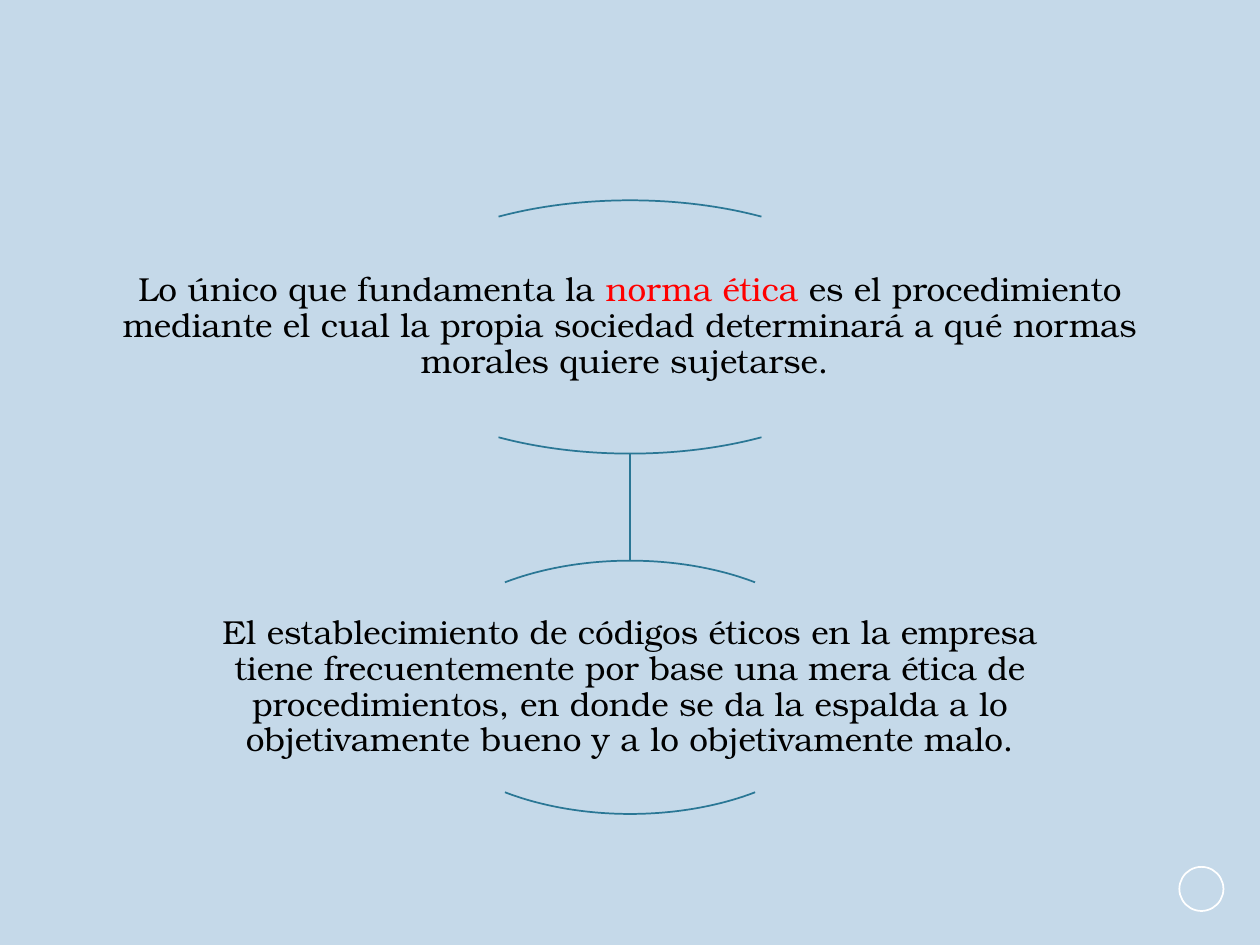
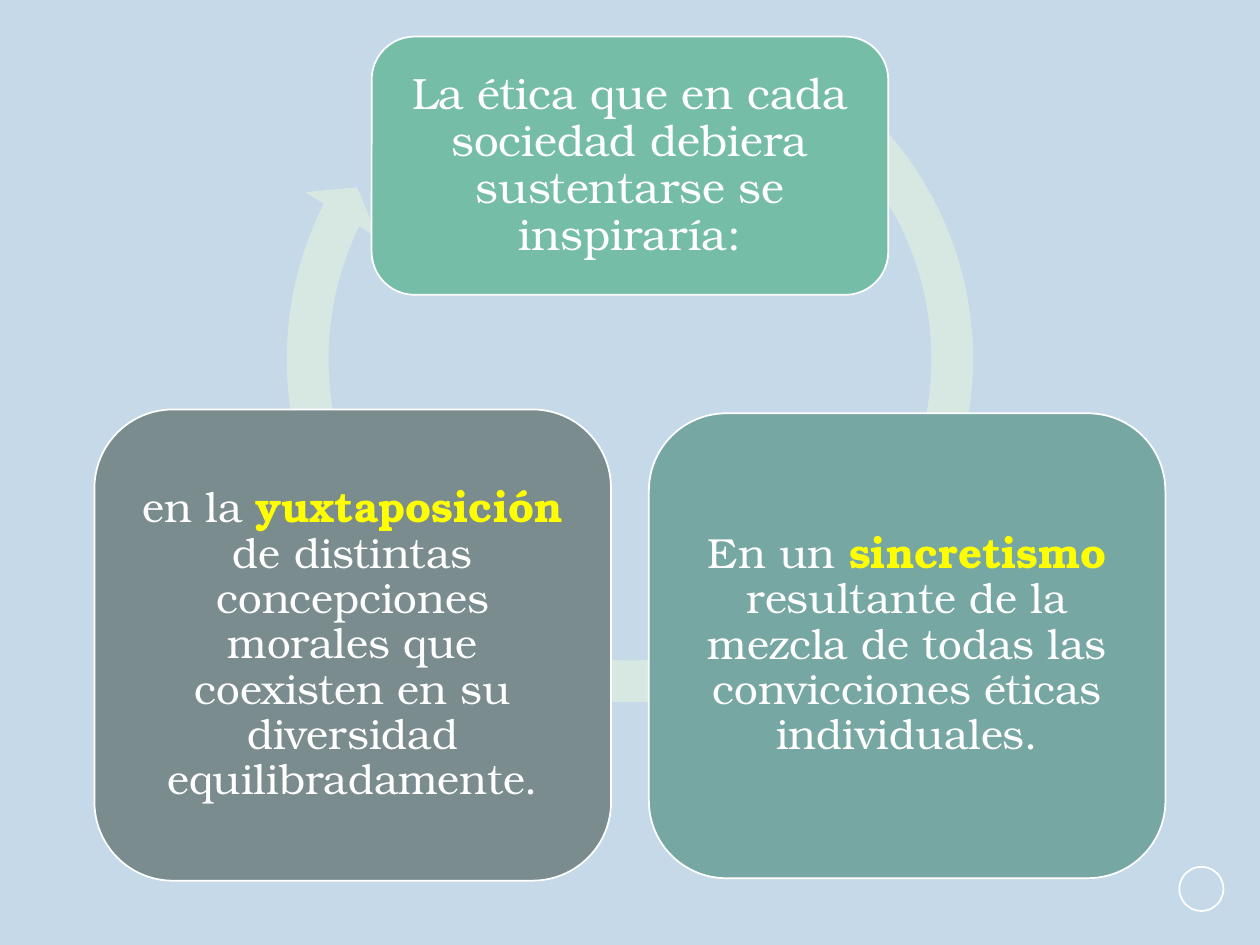
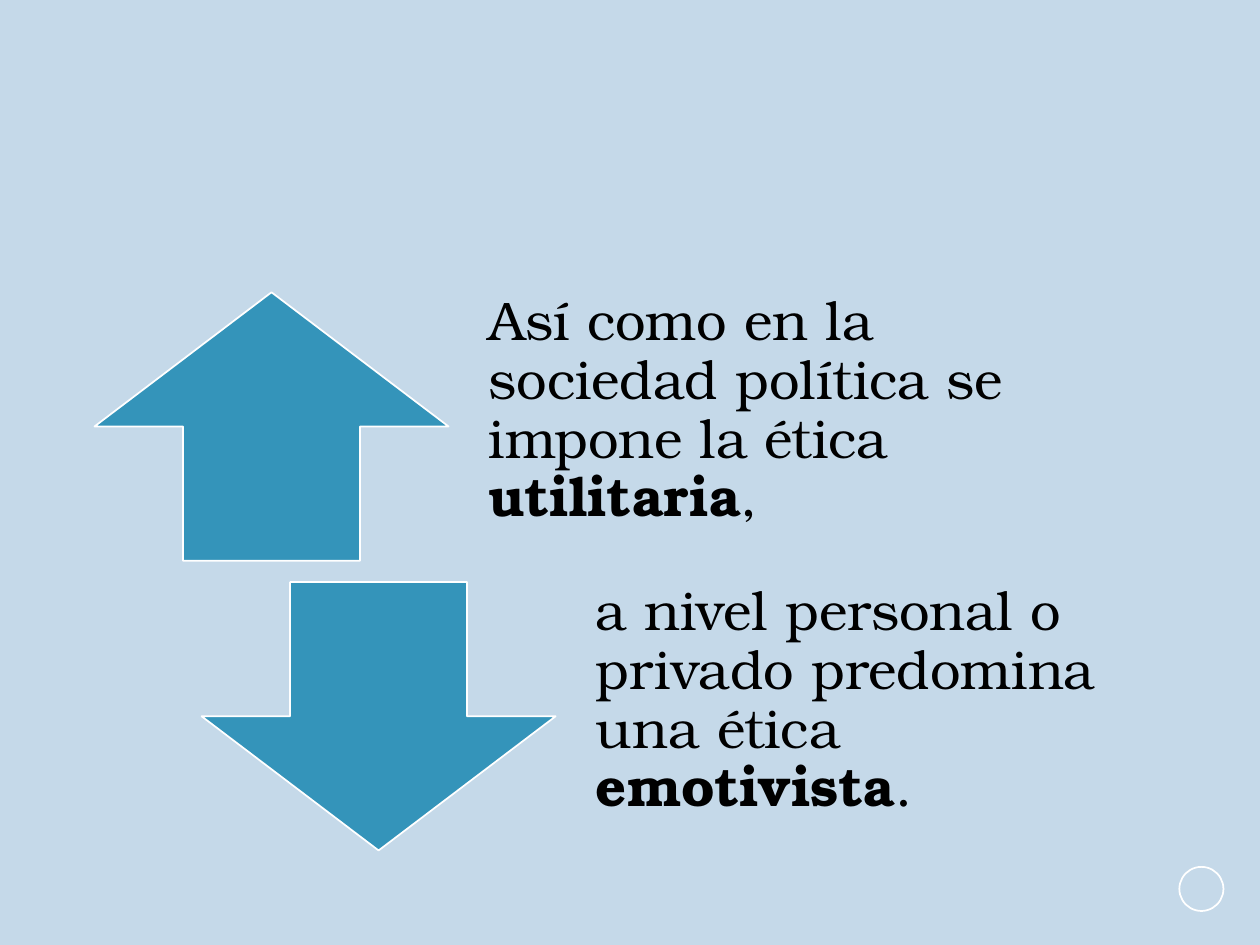
from dataclasses import dataclass

from pptx import Presentation
from pptx import util as u
from pptx.dml import color
from pptx.enum import shapes, text


@dataclass(frozen=True)
class Theme:
    font: str = "TeX Gyre Bonum"
    backdrop: str = "C5D9E9"
    white: str = "FFFFFF"
    ink: str = "000000"
    red: str = "FF0000"
    yellow: str = "FFFF00"
    bracket: str = "2A7795"
    cycle: str = "D6E8E1"
    green: str = "75BDA7"
    teal: str = "76A7A2"
    slate: str = "7A8C8E"
    blue: str = "3494BA"
    statement_size: int = 19
    premise_size: int = 25
    source_size: int = 24
    contrast_size: int = 31
    line_spacing: float = 0.9
    stroke: int = 1


theme = Theme()
preset = shapes.MSO_SHAPE
WIDTH, HEIGHT = 10, 7.5
SIDE = 0.075 * WIDTH
BODY = WIDTH - 2 * SIDE


def draw(slide, kind, box, fill=None, line=None, adjust=()):
    figure = slide.shapes.add_shape(kind, *map(u.Inches, box))
    figure.shadow.inherit = False
    for index, value in enumerate(adjust):
        figure.adjustments[index] = value
    if fill:
        figure.fill.solid()
        figure.fill.fore_color.rgb = color.RGBColor.from_string(fill)
    else:
        figure.fill.background()
    if line:
        figure.line.color.rgb = color.RGBColor.from_string(line)
        figure.line.width = u.Pt(theme.stroke)
    else:
        figure.line.fill.background()


def write(slide, box, runs, size, insets, align=text.PP_ALIGN.CENTER):
    frame = slide.shapes.add_textbox(*map(u.Inches, box)).text_frame
    frame.word_wrap = True
    frame.vertical_anchor = text.MSO_ANCHOR.MIDDLE
    frame.margin_left, frame.margin_top, frame.margin_right, frame.margin_bottom = map(u.Inches, insets)
    paragraph = frame.paragraphs[0]
    paragraph.alignment = align
    paragraph.line_spacing = theme.line_spacing
    for words, ink, bold in runs:
        run = paragraph.add_run()
        run.text = words
        run.font.name = theme.font
        run.font.size = u.Pt(size)
        run.font.bold = bold
        run.font.color.rgb = color.RGBColor.from_string(ink)


deck = Presentation()
deck.slide_width, deck.slide_height = u.Inches(WIDTH), u.Inches(HEIGHT)
backdrop = deck.slide_master.background.fill
backdrop.solid()
backdrop.fore_color.rgb = color.RGBColor.from_string(theme.backdrop)

norm, sources, contrast = [deck.slides.add_slide(deck.slide_layouts[6]) for _ in range(3)]
for slide in (norm, sources, contrast):
    draw(slide, preset.OVAL, (9.36, 6.88, 0.35, 0.35), line=theme.white)

norm_top, bracket_height, norm_step = 1.59, 2.01, 2.86
link = norm.shapes.add_connector(
    shapes.MSO_CONNECTOR.STRAIGHT,
    *map(u.Inches, (WIDTH / 2, norm_top + bracket_height, WIDTH / 2, norm_top + norm_step)),
)
link.line.color.rgb = color.RGBColor.from_string(theme.bracket)
link.line.width = u.Pt(theme.stroke)
link_properties = link._element.spPr
link_properties.append(link_properties.makeelement(
    "{http://schemas.openxmlformats.org/drawingml/2006/main}effectLst", {}))

statements = [
    (4.25, 8.49, [
        ("Lo único que fundamenta la ", theme.ink, False),
        ("norma ética ", theme.red, False),
        ("es el procedimiento mediante el cual la propia sociedad determinará "
         "a qué normas morales quiere sujetarse. ", theme.ink, False),
    ]),
    (3.55, 7.11, [
        ("El establecimiento de códigos éticos en la empresa tiene frecuentemente por base "
         "una mera ética de procedimientos, en donde se da la espalda a lo objetivamente bueno "
         "y a lo objetivamente malo.", theme.ink, False),
    ]),
]
for row, (bracket_width, statement_width, runs) in enumerate(statements):
    top = norm_top + row * norm_step
    for angles in ((132, 192), (24, 84)):
        draw(norm, preset.ARC, ((WIDTH - bracket_width) / 2, top, bracket_width, bracket_height),
             line=theme.bracket, adjust=angles)
    write(norm, ((WIDTH - statement_width) / 2, top + 0.36, statement_width, 1.29),
          runs, theme.statement_size, (0.01,) * 4)

cycle_size, card_width = 5.8, 4.1
draw(sources, preset.CIRCULAR_ARROW, ((WIDTH - cycle_size) / 2, -0.05, cycle_size, cycle_size),
     fill=theme.cycle, adjust=(0.057, 3.405, 123.917, 182.913, 0.059))
cards = [
    ((WIDTH - card_width) / 2, 0.29, 2.05, 0.1, theme.green, theme.premise_size, [
        ("La ética que en cada sociedad debiera sustentarse se inspiraría:", theme.white, False),
    ]),
    (SIDE + BODY - card_width, 3.28, 3.69, 0.18, theme.teal, theme.source_size, [
        ("En un ", theme.white, False),
        ("sincretismo ", theme.yellow, True),
        ("resultante de la mezcla de todas las convicciones éticas individuales.", theme.white, False),
    ]),
    (SIDE, 3.25, 3.74, 0.18, theme.slate, theme.source_size, [
        ("en la ", theme.white, False),
        ("yuxtaposición", theme.yellow, True),
        (" de distintas concepciones morales que coexisten en su diversidad equilibradamente.",
         theme.white, False),
    ]),
]
for left, top, height, pad, fill, size, runs in cards:
    draw(sources, preset.ROUNDED_RECTANGLE, (left, top, card_width, height), fill, theme.white)
    write(sources, (left + pad, top + pad, card_width - 2 * pad, height - 2 * pad),
          runs, size, (0.1,) * 4)

arrow_width, arrow_height = 2.81, 2.13
ethics = [
    (preset.UP_ARROW, "Así como en la sociedad política se impone la ética ", "utilitaria", ","),
    (preset.DOWN_ARROW, "a nivel personal o privado predomina una ética ", "emotivista", "."),
]
for row, (arrow, opening, ethic, ending) in enumerate(ethics):
    left, top = SIDE + row * BODY / 10, 2.32 + row * 2.3
    draw(contrast, arrow, (left, top, arrow_width, arrow_height), theme.blue, theme.white)
    write(contrast, (left + arrow_width + 0.08, top, 4.76, arrow_height),
          [(opening, theme.ink, False), (ethic, theme.ink, True), (ending, theme.ink, False)],
          theme.contrast_size, (0.24, 0, 0.24, 0.24), text.PP_ALIGN.LEFT)

deck.save("out.pptx")
